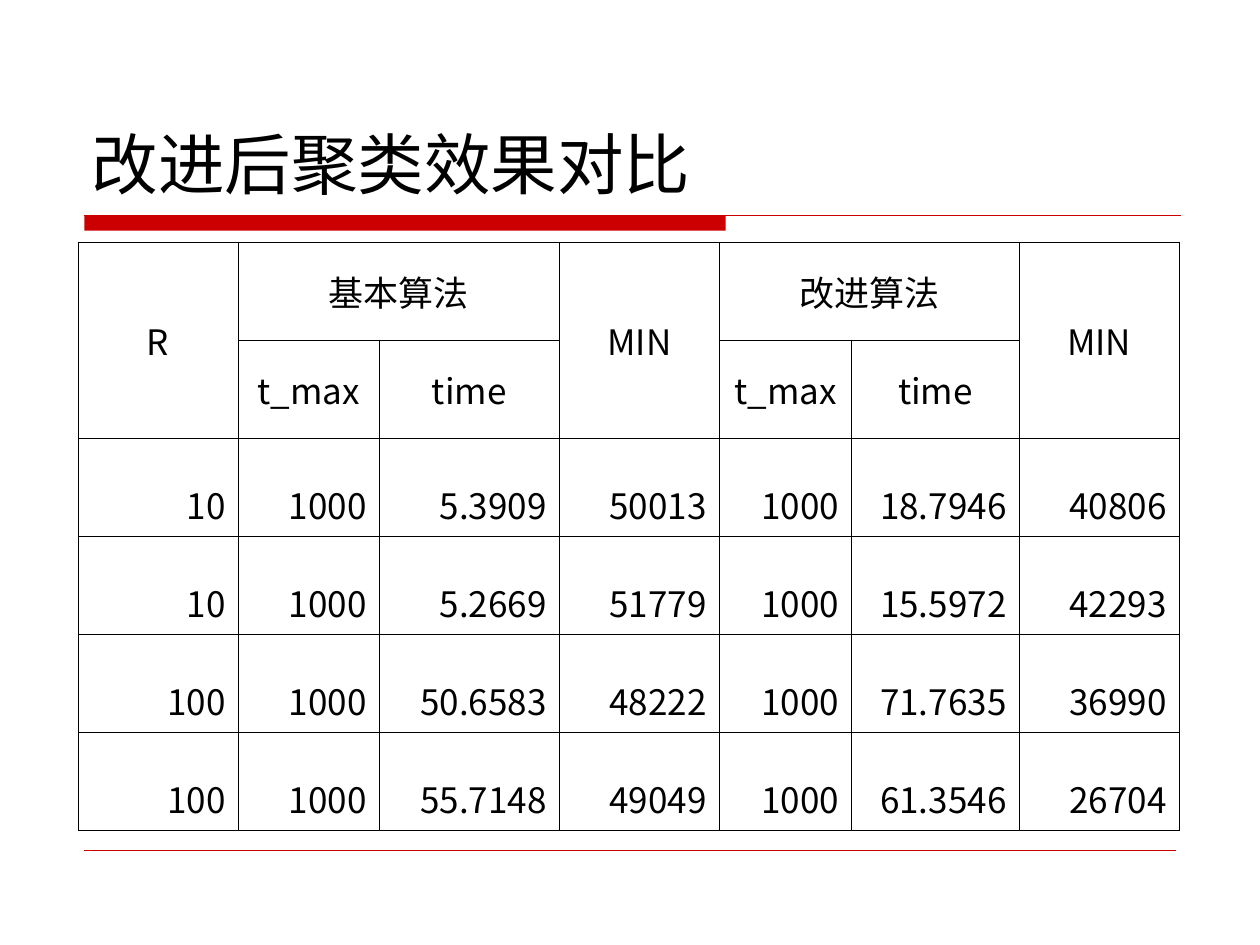
"""Build a slide comparing clustering results before and after the improvement."""
from dataclasses import dataclass

from lxml.etree import SubElement
from pptx import Presentation
from pptx.dml.color import RGBColor
from pptx.enum.shapes import MSO_CONNECTOR, MSO_SHAPE
from pptx.enum.text import MSO_ANCHOR as ANCHOR, PP_ALIGN as ALIGN
from pptx.oxml.ns import qn
from pptx.util import Inches, Pt


@dataclass(frozen=True)
class Theme:
    ink: RGBColor = RGBColor(0x00, 0x00, 0x00)
    accent: RGBColor = RGBColor(0xCC, 0x00, 0x00)
    title_font: str = "DejaVu Sans"
    table_font: str = "Noto Sans CJK SC"
    title_size: int = 38
    table_size: int = 20
    border: float = 0.45


theme = Theme()


def add_run(p, text, font, size):
    r = p.add_run()
    r.text = text
    r.font.name = font
    r.font.size = Pt(size)
    r.font.color.rgb = theme.ink
    SubElement(r.font._element, qn("a:ea"), typeface=font)


def add_borders(cell):
    tcPr = cell._tc.get_or_add_tcPr()
    for side in ("lnL", "lnR", "lnT", "lnB"):
        ln = SubElement(tcPr, qn(f"a:{side}"), w=str(Pt(theme.border)))
        fill = SubElement(ln, qn("a:solidFill"))
        SubElement(fill, qn("a:srgbClr"), val=str(theme.ink))


prs = Presentation()
prs.slide_width, prs.slide_height = Inches(10), Inches(7.5)
s = prs.slides.add_slide(prs.slide_layouts[6])

bar = s.shapes.add_shape(MSO_SHAPE.RECTANGLE, Inches(0.67), Inches(1.71), Inches(5.09), Inches(0.12))
bar.shadow.inherit = False
bar.fill.solid()
bar.fill.fore_color.rgb = theme.accent
bar.line.fill.background()

for y, right, width in ((1.71, 9.37, 0.75), (6.75, 9.33, 0.25)):
    rule = s.shapes.add_connector(MSO_CONNECTOR.STRAIGHT, Inches(0.67), Inches(y), Inches(right), Inches(y))
    rule.line.color.rgb = theme.accent
    rule.line.width = Pt(width)
    SubElement(rule._element.spPr, qn("a:effectLst"))

title = s.shapes.add_textbox(Inches(0.63), Inches(0.33), Inches(8.75), Inches(1.33))
tf = title.text_frame
tf.word_wrap = True
tf.vertical_anchor = ANCHOR.BOTTOM
add_run(tf.paragraphs[0], "改进后聚类效果对比", theme.title_font, theme.title_size)

rows = [
    ["R", "基本算法", "", "MIN", "改进算法", "", "MIN"],
    ["", "t_max", "time", "", "t_max", "time", ""],
    ["10", "1000", "5.3909", "50013", "1000", "18.7946", "40806"],
    ["10", "1000", "5.2669", "51779", "1000", "15.5972", "42293"],
    ["100", "1000", "50.6583", "48222", "1000", "71.7635", "36990"],
    ["100", "1000", "55.7148", "49049", "1000", "61.3546", "26704"],
]
col_widths = [1.27, 1.12, 1.43, 1.27, 1.05, 1.33, 1.27]
header_rows = 2

frame = s.shapes.add_table(len(rows), len(col_widths), Inches(0.62), Inches(1.92), Inches(8.75), Inches(4.67))
table = frame.table
table.first_row = table.horz_banding = False
for column, width in zip(table.columns, col_widths):
    column.width = Inches(width)

for i, row in enumerate(rows):
    table.rows[i].height = Inches(4.67 / len(rows))
    for j, text in enumerate(row):
        cell = table.cell(i, j)
        add_borders(cell)
        cell.fill.background()
        cell.vertical_anchor = ANCHOR.MIDDLE if i < header_rows else ANCHOR.BOTTOM
        p = cell.text_frame.paragraphs[0]
        p.alignment = ALIGN.CENTER if i < header_rows else ALIGN.RIGHT
        if text:
            add_run(p, text, theme.table_font, theme.table_size)

for j in (0, 3, 6):
    table.cell(0, j).merge(table.cell(1, j))
for j in (1, 4):
    table.cell(0, j).merge(table.cell(0, j + 1))

prs.save("out.pptx")
